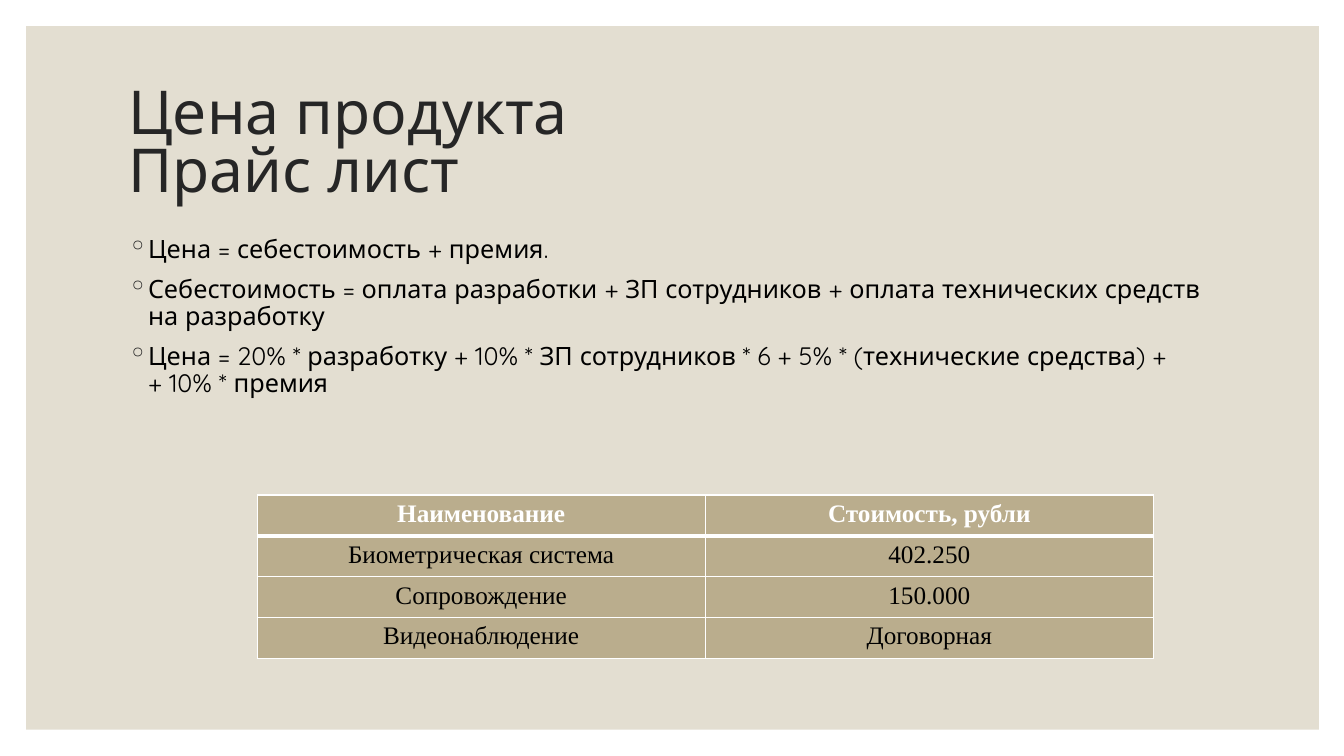
import pptx
import pptx.dml.color
import pptx.enum.shapes
import pptx.enum.text
import pptx.oxml
import pptx.oxml.ns
import pptx.util
from dataclasses import dataclass
from lxml import etree
from pptx.util import Inches


@dataclass(frozen=True)
class Theme:
    panel: str = "E3DED1"
    heading: str = "262626"
    ink: str = "000000"
    light: str = "FFFFFF"
    cell: str = "BAAD8D"
    main_font: str = "Quicksand"
    table_font: str = "Times New Roman"
    title_size: float = 43.2
    text_size: float = 18


class SlideBuilder:
    def __init__(self, deck, theme):
        self.theme = theme
        self.page = deck.slides.add_slide(deck.slide_layouts[5])

    def color(self, value):
        return pptx.dml.color.RGBColor.from_string(value)

    def style(self, frame, font, size, color, bold=False):
        for para in frame.paragraphs:
            for span in para.runs:
                span.font.name = font
                span.font.size = pptx.util.Pt(size)
                span.font.bold = bold
                span.font.color.rgb = self.color(color)

    def panel(self, left, top, width, height):
        kind = pptx.enum.shapes.MSO_SHAPE.RECTANGLE
        box = self.page.shapes.add_shape(kind, left, top, width, height)
        box.shadow.inherit = False
        box.fill.solid()
        box.fill.fore_color.rgb = self.color(self.theme.panel)
        box.line.fill.background()
        # Place the panel behind the title
        self.page.shapes._spTree.insert(2, box._element)

    def title(self, text, left, top, width, height):
        box = self.page.shapes.title
        box.left, box.top, box.width, box.height = left, top, width, height
        frame = box.text_frame
        frame.text = text
        frame.word_wrap = True
        frame.auto_size = pptx.enum.text.MSO_AUTO_SIZE.NONE
        frame.vertical_anchor = pptx.enum.text.MSO_ANCHOR.MIDDLE
        frame.paragraphs[0].alignment = pptx.enum.text.PP_ALIGN.LEFT
        frame.paragraphs[0].line_spacing = 0.8
        self.style(frame, self.theme.main_font, self.theme.title_size, self.theme.heading)

    def bullets(self, lines, left, top, width, height):
        frame = self.page.shapes.add_textbox(left, top, width, height).text_frame
        frame.word_wrap = True
        frame.text = "\n".join(lines)
        for para in frame.paragraphs:
            para.line_spacing = 0.9
            para.space_before = pptx.util.Pt(9)
            properties = para._p.get_or_add_pPr()
            properties.set("marL", str(Inches(0.2)))
            properties.set("indent", str(-Inches(0.2)))
            bullet_color = etree.SubElement(properties, pptx.oxml.ns.qn("a:buClr"))
            etree.SubElement(bullet_color, pptx.oxml.ns.qn("a:srgbClr"), val=self.theme.heading)
            etree.SubElement(properties, pptx.oxml.ns.qn("a:buChar"), char="◦")
        self.style(frame, self.theme.main_font, self.theme.text_size, self.theme.ink)

    def borders(self, cell, widths):
        properties = cell._tc.get_or_add_tcPr()
        for side, width in widths.items():
            line = etree.SubElement(properties, pptx.oxml.ns.qn(f"a:ln{side}"),
                                    w=str(pptx.util.Pt(width)))
            fill = etree.SubElement(line, pptx.oxml.ns.qn("a:solidFill"))
            etree.SubElement(fill, pptx.oxml.ns.qn("a:srgbClr"), val=self.theme.light)

    def table(self, rows, left, top, width, row_height):
        table = self.page.shapes.add_table(
            len(rows), len(rows[0]), left, top, width, row_height * len(rows)).table
        for row_index, row in enumerate(rows):
            header = row_index == 0
            for column_index, text in enumerate(row):
                cell = table.cell(row_index, column_index)
                self.borders(cell, {"L": 1, "R": 1, "T": 3 if row_index == 1 else 1,
                                    "B": 3 if header else 1})
                cell.fill.solid()
                cell.fill.fore_color.rgb = self.color(self.theme.cell)
                cell.text_frame.text = text
                cell.text_frame.paragraphs[0].alignment = pptx.enum.text.PP_ALIGN.CENTER
                self.style(cell.text_frame, self.theme.table_font, self.theme.text_size,
                           self.theme.light if header else self.theme.ink, header)


deck = pptx.Presentation()
deck.slide_width, deck.slide_height = Inches(13.33), Inches(7.5)
slide = SlideBuilder(deck, Theme())

# Background and title
slide.panel(Inches(0.26), Inches(0.26), Inches(12.82), Inches(6.98))
slide.title("Цена продукта\vПрайс лист", Inches(1.17), Inches(0.7), Inches(11), Inches(1.5))

# Price formulas
slide.bullets([
    "Цена = себестоимость + премия.",
    "Себестоимость = оплата разработки + ЗП сотрудников + оплата технических средств на разработку",
    "Цена = 20% * разработку + 10% * ЗП сотрудников * 6 + 5% * (технические средства) +\v+ 10% * премия",
], Inches(1.17), Inches(2.3), Inches(11), Inches(4.3))

# Price list
slide.table([
    ("Наименование", "Стоимость, рубли"),
    ("Биометрическая система", "402.250"),
    ("Сопровождение", "150.000"),
    ("Видеонаблюдение", "Договорная"),
], Inches(2.55), Inches(4.91), Inches(8.89), Inches(0.405))

deck.save("out.pptx")
